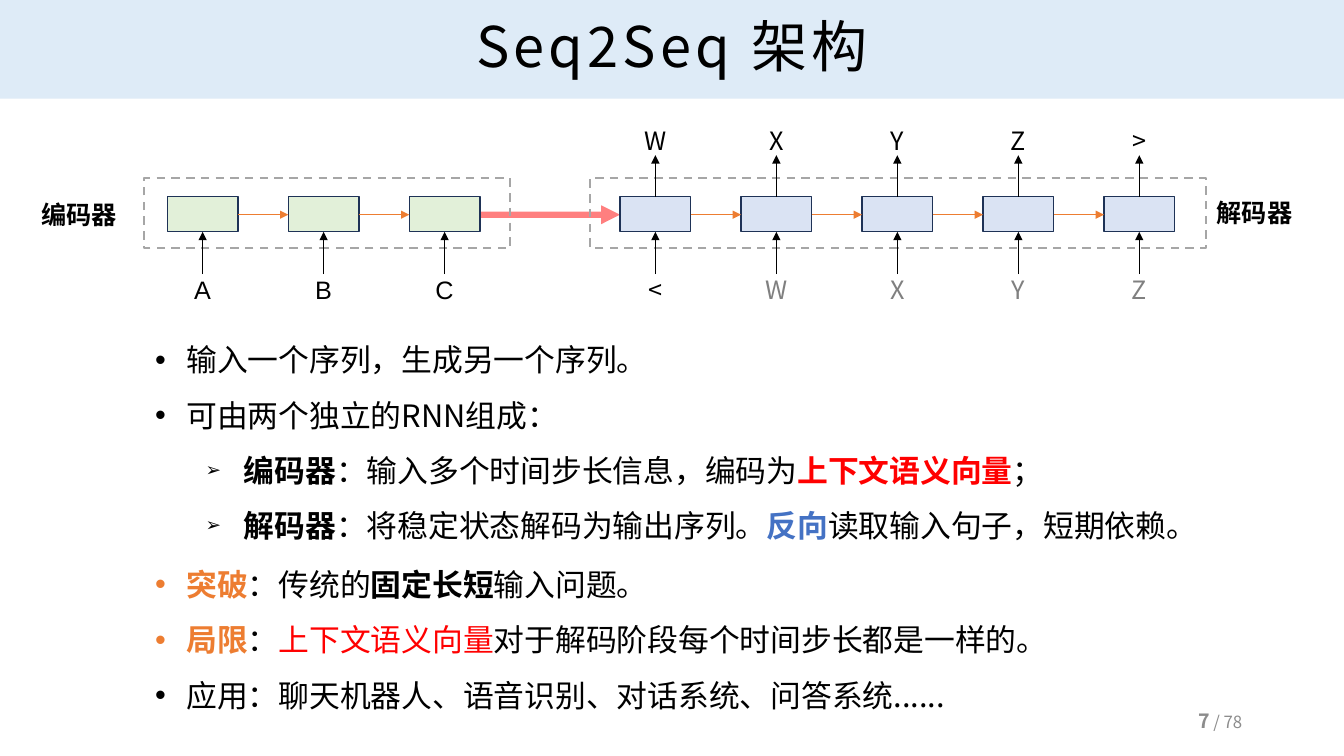
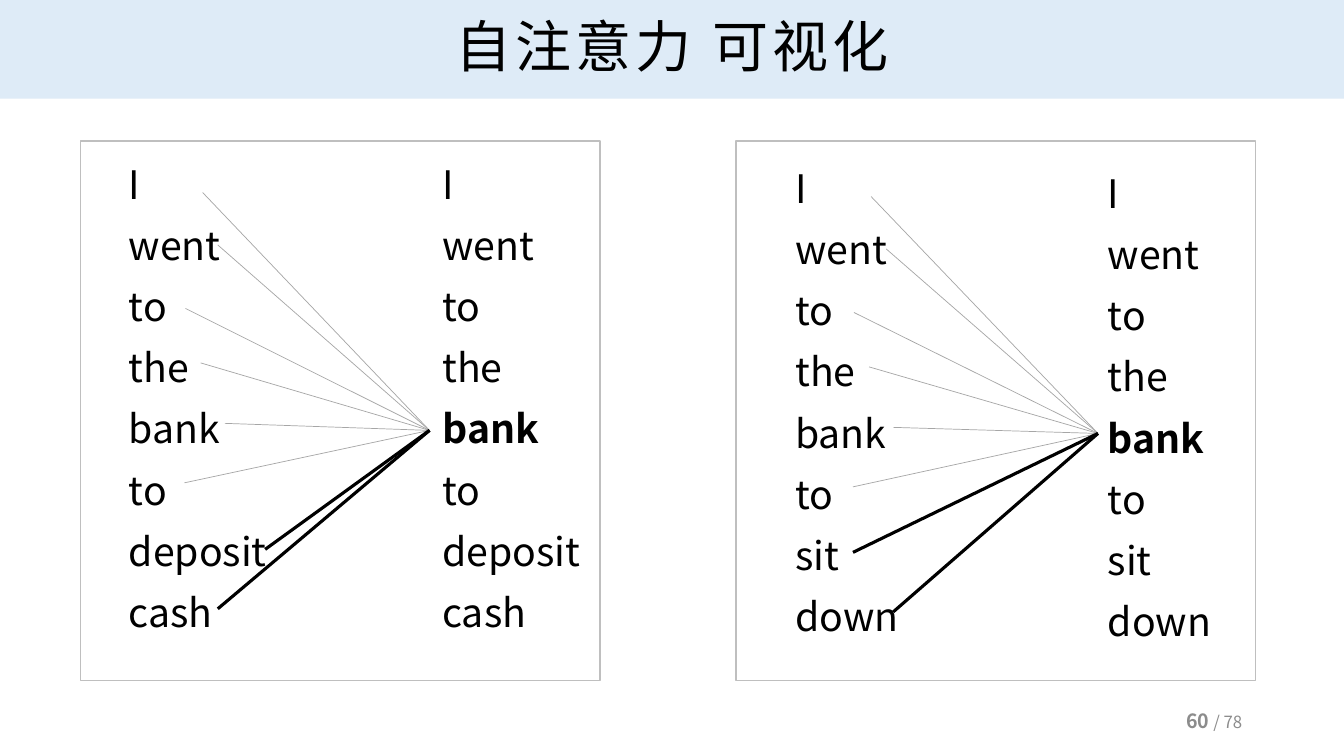
from lxml.etree import SubElement
from pptx import Presentation
from pptx.dml.color import RGBColor
from pptx.enum.dml import MSO_LINE
from pptx.enum.shapes import MSO_CONNECTOR, MSO_SHAPE
from pptx.enum.text import MSO_ANCHOR, MSO_AUTO_SIZE, PP_ALIGN
from pptx.oxml.ns import qn
from pptx.util import Inches, Pt

SANS = "Noto Sans CJK SC"
BLACK, RED, BLUE, ORANGE = "000000", "FF0000", "4472C4", "ED7D31"
BAND, CELL_EDGE, DASH_GREY = "DEEBF7", "1E3256", "A6A6A6"
ECHO_GREY, PAGE_GREY, PANEL_GREY = "808080", "8C8C8C", "BFBFBF"
TOTAL_PAGES = 78

CELL_W, CELL_H, CELL_TOP, CELL_STEP = 0.7, 0.35, 1.95, 1.2
CELL_MIDDLE, CELL_BOTTOM = 2.13, 2.3
ARROW_TOP, ARROW_BOTTOM = 1.54, 2.72
INPUT_TOP, OUTPUT_TOP, LETTER_W, LETTER_H = 2.72, 1.24, 0.4, 0.3

ENCODER = {
    "left": 1.66, "fill": "E2F0D9", "frame": (1.43, 1.77, 3.63, 0.69),
    "label": ("编码器", 0.31, 1.93),
    "inputs": [(letter, "Arial", BLACK) for letter in "ABC"],
    "outputs": "",
}
DECODER = {
    "left": 6.15, "fill": "DAE3F3", "frame": (5.85, 1.77, 6.11, 0.69),
    "label": ("解码器", 11.97, 1.91),
    "inputs": [("<", SANS, BLACK)] + [(letter, SANS, ECHO_GREY) for letter in "WXYZ"],
    "outputs": "WXYZ>",
}

BULLET_STYLES = [("•", 100, 0.31, 0.31), ("➢", 60, 0.88, 0.38)]
BULLET_BLOCKS = [
    ((1.44, 3.15, 10.87, 2.27), [
        (0, [("输入一个序列，生成另一个序列。", BLACK, False)]),
        (0, [("可由两个独立的RNN组成：", BLACK, False)]),
        (1, [("编码器", BLACK, True),
             ("：输入多个时间步长信息，编码为", BLACK, False),
             ("上下文语义向量", RED, True),
             ("；", BLACK, False)]),
        (1, [("解码器", BLACK, True),
             ("：将稳定状态解码为输出序列。", BLACK, False),
             ("反向", BLUE, True),
             ("读取输入句子，短期依赖。", BLACK, False)]),
    ]),
    ((1.44, 5.38, 10.87, 1.71), [
        (0, [("突破", ORANGE, True),
             ("：传统的", BLACK, False),
             ("固定长短", BLACK, True),
             ("输入问题。", BLACK, False)]),
        (0, [("局限", ORANGE, True),
             ("：", BLACK, False),
             ("上下文语义向量", RED, False),
             ("对于解码阶段每个时间步长都是一样的。", BLACK, False)]),
        (0, [("应用：聊天机器人、语音识别、对话系统、问答系统......", BLACK, False)]),
    ]),
]

FOCUS_WORD = "bank"
WEAK_ENDS = [(2.01, 1.91), (2.16, 2.43), (1.84, 3.06),
             (1.99, 3.6), (2.23, 4.2), (1.83, 4.79)]
ATTENTION_PANELS = [
    {"frame": (0.8, 1.4, 5.15, 5.35), "shift": (0, 0), "focus": (4.26, 4.27),
     "words": ["I", "went", "to", "the", "bank", "to", "deposit", "cash"],
     "queries": (1.18, 1.4, 1.67, 5), "keys": (4.29, 1.4, 1.67, 5),
     "strong": [(2.63, 5.45), (2.16, 6.04)]},
    {"frame": (7.3, 1.4, 5.15, 5.35), "shift": (6.63, 0.04), "focus": (10.89, 4.3),
     "words": ["I", "went", "to", "the", "bank", "to", "sit", "down"],
     "queries": (7.79, 1.44, 1.56, 4.95), "keys": (10.89, 1.49, 1.56, 4.95),
     "strong": [(8.46, 5.48), (8.86, 6.07)]},
]


def rgb(value):
    return RGBColor.from_string(value)


def inches(values):
    return [Inches(value) for value in values]


def add_run(paragraph, text, size, color=BLACK, bold=False, font=SANS):
    run = paragraph.add_run()
    run.text = text
    run.font.size = Pt(size)
    run.font.bold = bold
    run.font.color.rgb = rgb(color)
    run.font.name = font
    SubElement(run.font._element, qn("a:ea"), typeface=font)
    return run


def add_text_frame(slide, box, wrap=True):
    frame = slide.shapes.add_textbox(*inches(box)).text_frame
    frame.word_wrap = wrap
    return frame


def paragraphs(frame, items):
    for index, item in enumerate(items):
        yield (frame.add_paragraph() if index else frame.paragraphs[0]), item


def add_rect(slide, box, edge, width, fill=None, dashed=False):
    rect = slide.shapes.add_shape(MSO_SHAPE.RECTANGLE, *inches(box))
    rect.shadow.inherit = False
    if fill:
        rect.fill.solid()
        rect.fill.fore_color.rgb = rgb(fill)
    else:
        rect.fill.background()
    rect.line.color.rgb = rgb(edge)
    rect.line.width = Pt(width)
    if dashed:
        rect.line.dash_style = MSO_LINE.DASH


def add_line(slide, start, end, color, width, arrow=False, opacity=None):
    line = slide.shapes.add_connector(MSO_CONNECTOR.STRAIGHT, *inches(start + end))
    line.line.color.rgb = rgb(color)
    line.line.width = Pt(width)
    outline = line.line._get_or_add_ln()
    if opacity:
        tint = outline.find(".//" + qn("a:srgbClr"))
        SubElement(tint, qn("a:alpha"), val=str(opacity * 1000))
    if arrow:
        SubElement(outline, qn("a:tailEnd"), type="triangle")
    SubElement(line._element.spPr, qn("a:effectLst"))


def add_titled_slide(deck, title_text, page):
    slide = deck.slides.add_slide(deck.slide_layouts[5])
    title = slide.shapes.title
    title.left, title.top, title.width, title.height = inches((0, 0, 13.33, 0.98))
    title.width = deck.slide_width
    title.fill.solid()
    title.fill.fore_color.rgb = rgb(BAND)
    title.text_frame.auto_size = MSO_AUTO_SIZE.NONE
    title.text_frame.vertical_anchor = MSO_ANCHOR.MIDDLE
    heading = title.text_frame.paragraphs[0]
    heading.alignment = PP_ALIGN.CENTER
    heading.line_spacing = 0.9
    add_run(heading, title_text, 40).font._element.set("spc", "300")

    footer = add_text_frame(slide, (11.2, 6.95, 1.22, 0.4))
    footer.vertical_anchor = MSO_ANCHOR.MIDDLE
    numbering = footer.paragraphs[0]
    numbering.alignment = PP_ALIGN.RIGHT
    add_run(numbering, str(page), 14, PAGE_GREY, True)
    add_run(numbering, f" / {TOTAL_PAGES}", 12, PAGE_GREY)
    return slide


def add_letter(slide, center, top, letter, font, color):
    frame = add_text_frame(slide, (center - LETTER_W / 2, top, LETTER_W, LETTER_H), False)
    frame.margin_left = frame.margin_right = frame.margin_top = frame.margin_bottom = 0
    frame.paragraphs[0].alignment = PP_ALIGN.CENTER
    add_run(frame.paragraphs[0], letter, 18, color, font=font)


def add_network(slide, network):
    add_rect(slide, network["frame"], DASH_GREY, 1.5, dashed=True)
    for index, (letter, font, color) in enumerate(network["inputs"]):
        left = network["left"] + index * CELL_STEP
        center = left + CELL_W / 2
        add_rect(slide, (left, CELL_TOP, CELL_W, CELL_H), CELL_EDGE, 1, network["fill"])
        if index:
            add_line(slide, (left - CELL_STEP + CELL_W, CELL_MIDDLE), (left, CELL_MIDDLE),
                     ORANGE, 0.5, arrow=True)
        add_line(slide, (center, ARROW_BOTTOM), (center, CELL_BOTTOM), BLACK, 0.5, arrow=True)
        add_letter(slide, center, INPUT_TOP, letter, font, color)
        if network["outputs"]:
            add_line(slide, (center, CELL_TOP), (center, ARROW_TOP), BLACK, 0.5, arrow=True)
            add_letter(slide, center, OUTPUT_TOP, network["outputs"][index], SANS, BLACK)
    name, left, top = network["label"]
    label = add_text_frame(slide, (left, top, 1.07, 0.4))
    add_run(label.paragraphs[0], name, 18, bold=True)


def add_bullets(slide, box, items):
    frame = add_text_frame(slide, box)
    for paragraph, (level, runs) in paragraphs(frame, items):
        mark, percent, margin, hanging = BULLET_STYLES[level]
        paragraph.level = level
        props = paragraph._p.get_or_add_pPr()
        props.set("marL", str(Inches(margin)))
        props.set("indent", str(-Inches(hanging)))
        SubElement(props, qn("a:buSzPct"), val=str(percent * 1000))
        SubElement(props, qn("a:buFont"), typeface="Arial")
        SubElement(props, qn("a:buChar"), char=mark)
        paragraph.line_spacing = 1.5
        for text, color, bold in runs:
            add_run(paragraph, text, 22, color, bold)


def add_words(slide, box, words, emphasis=None):
    frame = add_text_frame(slide, box)
    for paragraph, word in paragraphs(frame, words):
        paragraph.line_spacing = 1.3
        add_run(paragraph, word, 28, bold=word == emphasis)


def add_attention(slide, panel):
    add_words(slide, panel["queries"], panel["words"])
    add_words(slide, panel["keys"], panel["words"], FOCUS_WORD)
    dx, dy = panel["shift"]
    for x, y in WEAK_ENDS:
        add_line(slide, panel["focus"], (x + dx, y + dy), DASH_GREY, 0.5)
    for end in panel["strong"]:
        add_line(slide, panel["focus"], end, BLACK, 2.25)
    add_rect(slide, panel["frame"], PANEL_GREY, 1)


def main():
    deck = Presentation()
    deck.slide_width, deck.slide_height = Inches(13.33), Inches(7.5)

    architecture = add_titled_slide(deck, "Seq2Seq 架构", 7)
    encoder_end = ENCODER["left"] + (len(ENCODER["inputs"]) - 1) * CELL_STEP + CELL_W
    add_line(architecture, (encoder_end, CELL_MIDDLE), (DECODER["left"], CELL_MIDDLE),
             RED, 4.5, arrow=True, opacity=50)
    for network in (ENCODER, DECODER):
        add_network(architecture, network)
    for box, items in BULLET_BLOCKS:
        add_bullets(architecture, box, items)

    visualization = add_titled_slide(deck, "自注意力 可视化", 60)
    for panel in ATTENTION_PANELS:
        add_attention(visualization, panel)

    deck.save("out.pptx")


if __name__ == "__main__":
    main()
